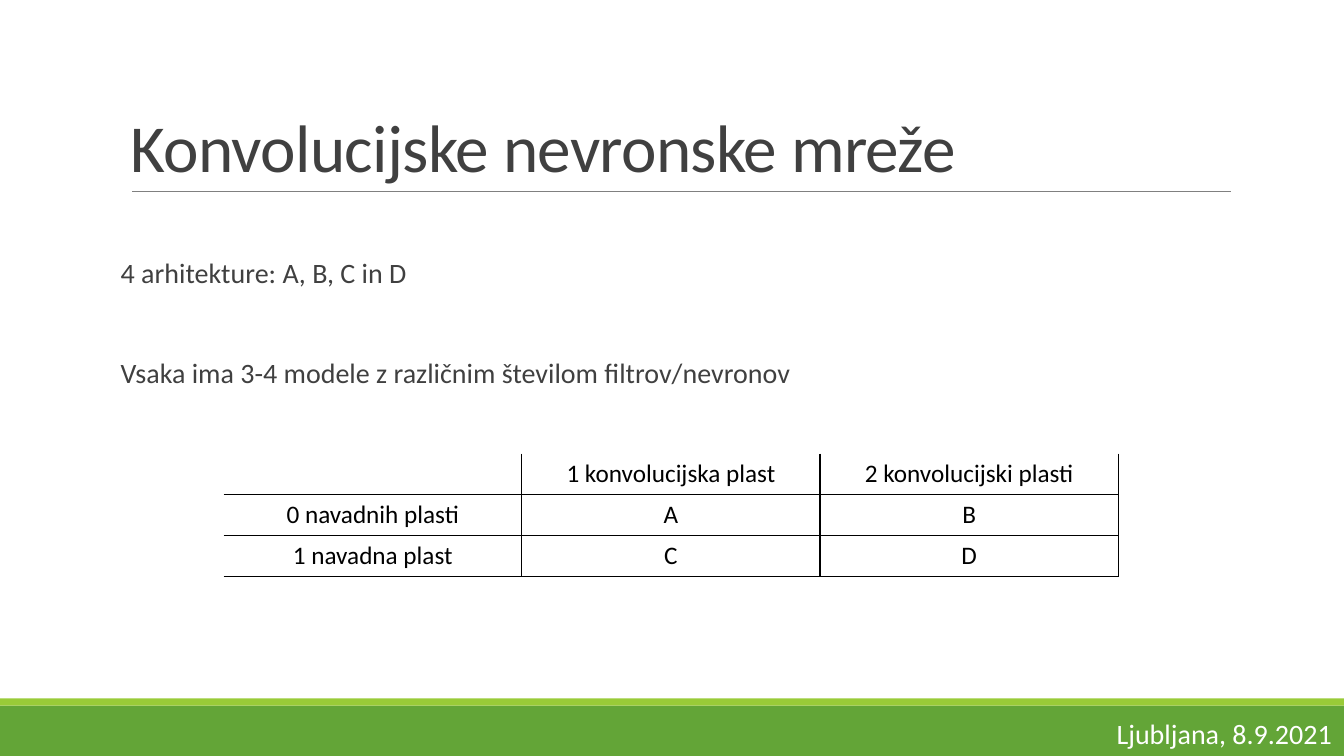
"""Builds a slide on convolutional neural networks with a table of architectures."""
import lxml.etree
import pptx
import pptx.dml.color
import pptx.enum.shapes
import pptx.enum.text
import pptx.oxml.ns
import pptx.util

PX = 9525
THEME = {
    "font": "Calibri",
    "green": "63A537", "lime": "99CB38", "rule": "808080",
    "ink": "404040", "black": "000000", "white": "FFFFFF",
    "title": 48, "body": 20, "cell": 18,
}
ALIGN = pptx.enum.text.PP_ALIGN
qn = pptx.oxml.ns.qn


def tint(name):
    return pptx.dml.color.RGBColor.from_string(THEME[name])


def style(para, text, size, color):
    para.text = text
    para.font.name = THEME["font"]
    para.font.size = pptx.util.Pt(THEME[size])
    para.font.color.rgb = tint(color)


deck = pptx.Presentation()
deck.slide_width, deck.slide_height = 1280 * PX, 720 * PX
slide = deck.slides.add_slide(deck.slide_layouts[6])
shapes = slide.shapes

for top, high, color in [(672, 48, "green"), (665, 7, "lime")]:
    bar = shapes.add_shape(pptx.enum.shapes.MSO_SHAPE.RECTANGLE,
                           0, top * PX, 1280 * PX, high * PX)
    bar.shadow.inherit = False
    bar.fill.solid()
    bar.fill.fore_color.rgb = tint(color)
    bar.line.fill.background()

rule = shapes.add_connector(pptx.enum.shapes.MSO_CONNECTOR.STRAIGHT,
                            126 * PX, 182 * PX, 1172 * PX, 182 * PX)
rule.line.color.rgb = tint("rule")
rule.line.width = pptx.util.Pt(0.5)
lxml.etree.SubElement(rule.element.spPr, qn("a:effectLst"))

title = shapes.add_textbox(115 * PX, 30 * PX, 1056 * PX, 152 * PX).text_frame
title.word_wrap = True
title.vertical_anchor = pptx.enum.text.MSO_ANCHOR.BOTTOM
head = title.paragraphs[0]
style(head, "Konvolucijske nevronske mreže", "title", "ink")
head.line_spacing = 0.85
head.runs[0]._r.get_or_add_rPr().set("spc", "-50")

body = shapes.add_textbox(115 * PX, 242 * PX, 1056 * PX, 374 * PX).text_frame
body.word_wrap = True
body.margin_left = body.margin_right = 0
points = ["4 arhitekture: A, B, C in D",
          "Vsaka ima 3-4 modele z različnim številom filtrov/nevronov"]
for i, text in enumerate(points):
    para = body.add_paragraph() if i else body.paragraphs[0]
    style(para, text, "body", "ink")
    para.line_spacing = 0.9
    para.space_after = pptx.util.Pt(50)

rows = [
    ["", "1 konvolucijska plast", "2 konvolucijski plasti"],
    ["0 navadnih plasti", "A", "B"],
    ["1 navadna plast", "C", "D"],
]
table = shapes.add_table(3, 3, 213 * PX, 432 * PX, 852 * PX, 117 * PX).table
table.first_row = table.horz_banding = False
for r, row in enumerate(rows):
    table.rows[r].height = 39 * PX
    for c, text in enumerate(row):
        cell = table.cell(r, c)
        para = cell.text_frame.paragraphs[0]
        style(para, text, "cell", "black")
        para.alignment = ALIGN.CENTER
        props = cell._tc.get_or_add_tcPr()
        for side, shown in [("L", c > 0), ("R", True), ("T", r > 0), ("B", True)]:
            edge = lxml.etree.SubElement(props, qn("a:ln" + side), w="12700")
            if shown:
                fill = lxml.etree.SubElement(edge, qn("a:solidFill"))
                lxml.etree.SubElement(fill, qn("a:srgbClr"), val=THEME["black"])
            else:
                lxml.etree.SubElement(edge, qn("a:noFill"))
        cell.fill.background()
for col in table.columns:
    col.width = 284 * PX

place = shapes.add_textbox(1054 * PX, 678 * PX, 226 * PX, 42 * PX).text_frame
place.word_wrap = False
place.auto_size = pptx.enum.text.MSO_AUTO_SIZE.SHAPE_TO_FIT_TEXT
style(place.paragraphs[0], "Ljubljana, 8.9.2021", "body", "white")

deck.save("out.pptx")
